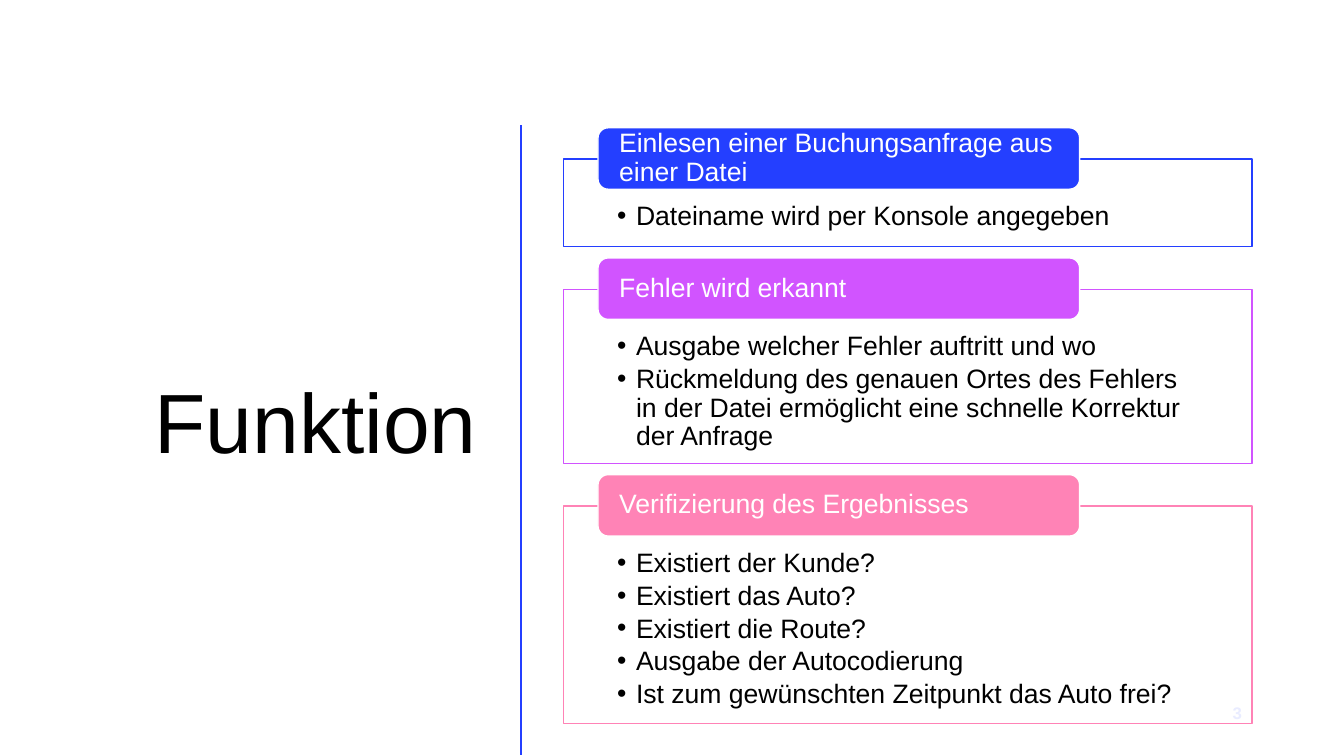
from lxml.etree import SubElement
from pptx import Presentation
from pptx.dml.color import RGBColor
from pptx.enum.shapes import MSO_CONNECTOR, MSO_SHAPE
from pptx.enum.text import MSO_ANCHOR as Anchor, MSO_AUTO_SIZE, PP_ALIGN as Align
from pptx.oxml.ns import qn
from pptx.util import Cm, Pt

TITLE = "Funktion"
PAGE_NUMBER = "3"
SECTIONS = [
    ("Einlesen einer Buchungsanfrage aus einer Datei", "blue", 2.21,
     ["Dateiname wird per Konsole angegeben"]),
    ("Fehler wird erkannt", "violet", 4.39,
     ["Ausgabe welcher Fehler auftritt und wo",
      "Rückmeldung des genauen Ortes des Fehlers in der Datei ermöglicht "
      "eine schnelle Korrektur der Anfrage"]),
    ("Verifizierung des Ergebnisses", "pink", 5.49,
     ["Existiert der Kunde?",
      "Existiert das Auto?",
      "Existiert die Route?",
      "Ausgabe der Autocodierung",
      "Ist zum gewünschten Zeitpunkt das Auto frei?"]),
]
COLORS = {"blue": "243FFF", "violet": "D154FF", "pink": "FF83B6",
          "white": "FFFFFF", "black": "000000"}
FONT = "Arial"
PANEL_LEFT, PANEL_TOP, PANEL_WIDTH, PANEL_GAP = 14.2, 4.01, 17.35, 1.07
TAB_INDENT, TAB_WIDTH, TAB_HEIGHT, TAB_RISE = 0.87, 12.14, 1.55, 0.79


def color(name):
    return RGBColor.from_string(COLORS[name])


def set_frame(frame, anchor, margins=None):
    frame.word_wrap = True
    frame.auto_size = MSO_AUTO_SIZE.NONE
    frame.vertical_anchor = anchor
    if margins:
        (frame.margin_left, frame.margin_top,
         frame.margin_right, frame.margin_bottom) = [Cm(value) for value in margins]


def add_text(para, text, size, color_name, align=Align.LEFT):
    para.alignment = align
    para.line_spacing = 0.9
    span = para.add_run()
    span.text = text
    span.font.name = FONT
    span.font.size = Pt(size)
    span.font.color.rgb = color(color_name)
    return span


def add_bullet(para):
    properties = para._p.get_or_add_pPr()
    properties.set("marL", str(Cm(0.48)))
    properties.set("indent", str(-Cm(0.48)))
    SubElement(properties, qn("a:buFont")).set("typeface", FONT)
    SubElement(properties, qn("a:buChar")).set("char", "•")


def add_box(page, preset, left, top, width, height, fill, line):
    box = page.shapes.add_shape(preset, Cm(left), Cm(top), Cm(width), Cm(height))
    box.shadow.inherit = False
    box.fill.solid()
    box.fill.fore_color.rgb = color(fill)
    box.line.color.rgb = color(line)
    box.line.width = Pt(1)
    return box


def add_section(page, top, heading, accent, height, bullets):
    panel = add_box(page, MSO_SHAPE.RECTANGLE, PANEL_LEFT, top,
                    PANEL_WIDTH, height, "white", accent)
    fill_color = panel._element.spPr.find(qn("a:solidFill"))[0]
    SubElement(fill_color, qn("a:alpha")).set("val", "90000")
    frame = panel.text_frame
    set_frame(frame, Anchor.TOP, (1.35, 1.09, 1.35, 0.38))
    for index, bullet in enumerate(bullets):
        para = frame.add_paragraph() if index else frame.paragraphs[0]
        add_text(para, bullet, 19, "black")
        para.space_after = Pt(3)
        add_bullet(para)

    tab = add_box(page, MSO_SHAPE.ROUNDED_RECTANGLE, PANEL_LEFT + TAB_INDENT,
                  top - TAB_RISE, TAB_WIDTH, TAB_HEIGHT, accent, "white")
    set_frame(tab.text_frame, Anchor.MIDDLE, (0.46, 0, 0.46, 0))
    add_text(tab.text_frame.paragraphs[0], heading, 19, "white")


def main():
    deck = Presentation()
    deck.slide_width, deck.slide_height = Cm(33.87), Cm(19.05)
    page = deck.slides.add_slide(deck.slide_layouts[5])

    title = page.shapes.title
    title.left, title.top, title.width, title.height = Cm(1.32), Cm(2.97), Cm(10.95), Cm(15.52)
    set_frame(title.text_frame, Anchor.MIDDLE)
    add_text(title.text_frame.paragraphs[0], TITLE, 60, "black", Align.RIGHT)

    number = page.shapes.add_textbox(Cm(23.93), Cm(17.48), Cm(7.62), Cm(1.02))
    set_frame(number.text_frame, Anchor.MIDDLE)
    para = number.text_frame.paragraphs[0]
    para.space_after = Pt(6)
    span = add_text(para, PAGE_NUMBER, 12, "blue", Align.RIGHT)
    span.font.bold = True
    span.font._element.set("spc", "100")

    divider = page.shapes.add_connector(MSO_CONNECTOR.STRAIGHT, Cm(13.13), Cm(3.15),
                                        Cm(13.13), Cm(19.03))
    divider.line.color.rgb = color("blue")
    divider.line.width = Pt(2)
    SubElement(divider._element.spPr, qn("a:effectLst"))

    top = PANEL_TOP
    for heading, accent, height, bullets in SECTIONS:
        add_section(page, top, heading, accent, height, bullets)
        top += height + PANEL_GAP

    deck.save("out.pptx")


if __name__ == "__main__":
    main()
